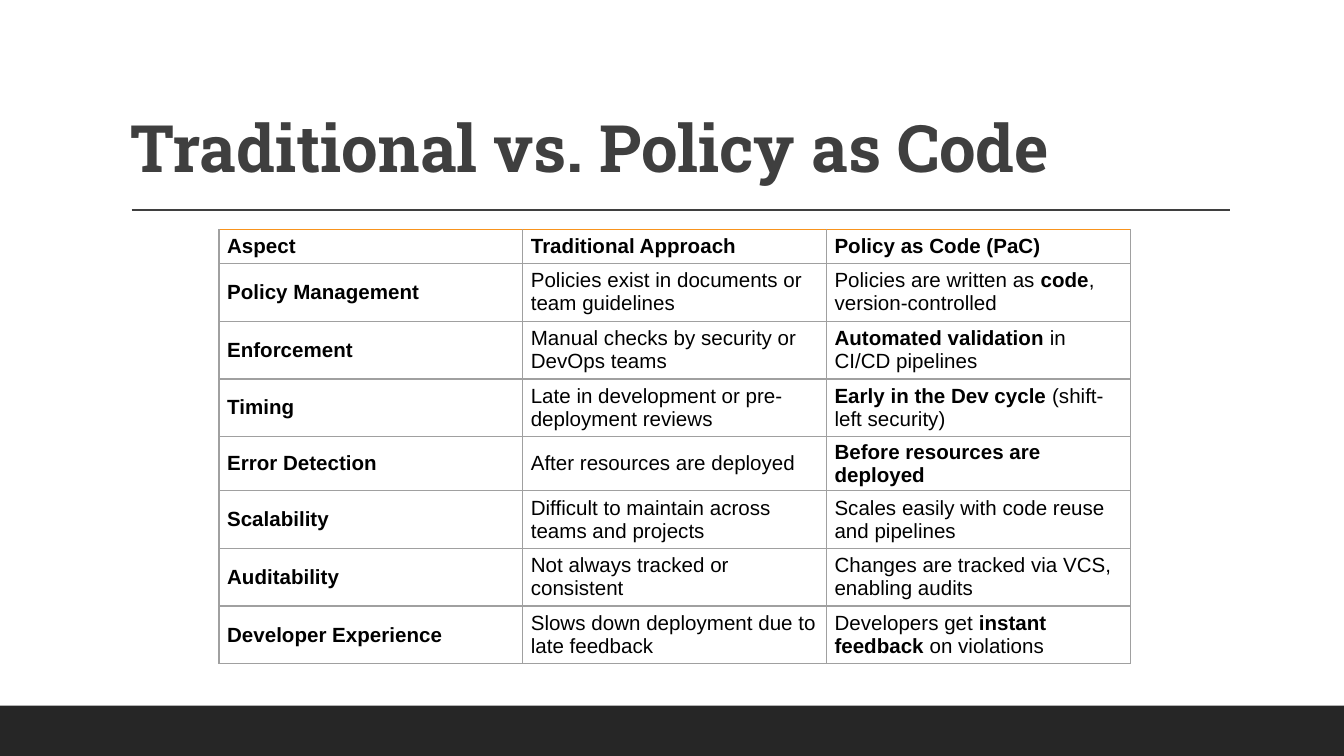
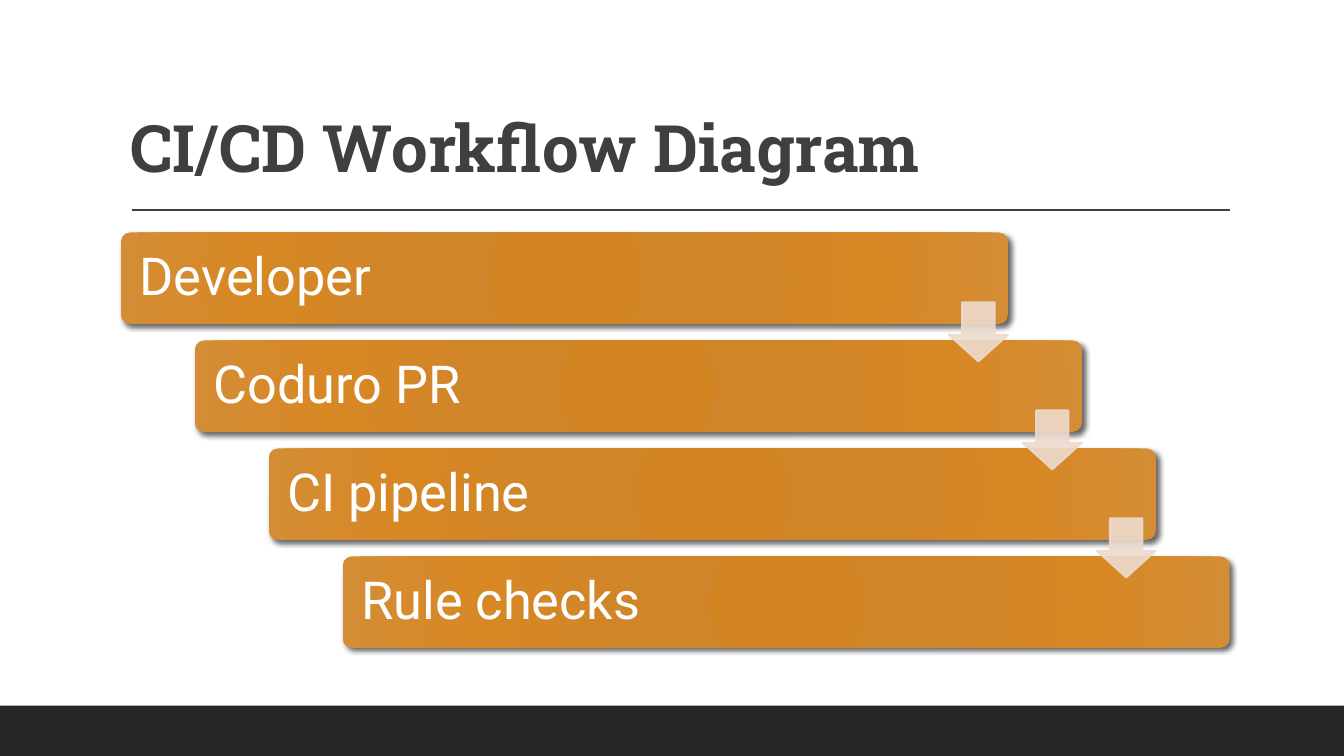
import pptx
import pptx.util
import pptx.dml.color
import pptx.enum.shapes
import pptx.enum.text
import pptx.oxml
import pptx.oxml.ns
from dataclasses import dataclass

Inches, Pt = pptx.util.Inches, pptx.util.Pt
SHAPE = pptx.enum.shapes.MSO_SHAPE
ANCHOR = pptx.enum.text.MSO_ANCHOR
ALIGN = pptx.enum.text.PP_ALIGN

# Content
COMPARISON_TITLE = "Traditional vs. Policy as Code"
COMPARISON = [  # ** marks bold words
    ("Aspect", "Traditional Approach", "Policy as Code (PaC)"),
    ("Policy Management", "Policies exist in documents or team guidelines",
     "Policies are written as **code**, version-controlled"),
    ("Enforcement", "Manual checks by security or DevOps teams",
     "**Automated validation** in CI/CD pipelines"),
    ("Timing", "Late in development or pre-deployment reviews",
     "**Early in the Dev cycle** (shift-left security)"),
    ("Error Detection", "After resources are deployed",
     "**Before resources are deployed**"),
    ("Scalability", "Difficult to maintain across teams and projects",
     "Scales easily with code reuse and pipelines"),
    ("Auditability", "Not always tracked or consistent",
     "Changes are tracked via VCS, enabling audits"),
    ("Developer Experience", "Slows down deployment due to late feedback",
     "Developers get **instant feedback** on violations"),
]
WORKFLOW_TITLE = "CI/CD Workflow Diagram"
WORKFLOW = ["Developer", "Coduro PR", "CI pipeline", "Rule checks"]


@dataclass(frozen=True)
class Theme:
    ink: str = "3F3F3F"
    band: str = "262626"
    black: str = "000000"
    white: str = "FFFFFF"
    accent: str = "F8931D"
    grid: str = "A0A0A0"
    arrow: str = "EDDACD"
    step_stops: tuple = ((0, "D28423"), (34, "D08528"), (70, "D78825"), (100, "D48D35"))
    title_font: str = "Roboto Slab"
    step_font: str = "Roboto"
    table_font: str = "Arial"
    title_size: int = 35
    step_size: int = 28
    table_size: int = 11


THEME = Theme()
WIDTH, HEIGHT = 10, 5.625
LEFT, RIGHT = 0.9, 9.15


def rgb(code):
    return pptx.dml.color.RGBColor.from_string(code)


def xml(markup):
    """Parse an element written with the a: prefix."""
    head, tail = markup.split(">", 1)
    slash = "/" if head.endswith("/") else ""
    return pptx.oxml.parse_xml(
        f"{head.rstrip('/')} {pptx.oxml.ns.nsdecls('a')}{slash}>{tail}")


def style(p, font, size, color, bold=False):
    p.font.name, p.font.size, p.font.bold = font, Pt(size), bold
    p.font.color.rgb = rgb(color)


def set_margins(target, horizontal, vertical):
    target.margin_left = target.margin_right = Inches(horizontal)
    target.margin_top = target.margin_bottom = Inches(vertical)


def add_shape(slide, kind, left, top, width, height):
    sp = slide.shapes.add_shape(kind, *map(Inches, (left, top, width, height)))
    sp.shadow.inherit = False
    sp.line.fill.background()
    return sp


# Shared frame: bottom band, rule and title
def add_slide(prs, title):
    slide = prs.slides.add_slide(prs.slide_layouts.get_by_name("Title Only"))
    band = add_shape(slide, SHAPE.RECTANGLE, 0, 5.25, WIDTH, HEIGHT - 5.25)
    band.fill.solid()
    band.fill.fore_color.rgb = rgb(THEME.band)

    rule = slide.shapes.add_connector(
        pptx.enum.shapes.MSO_CONNECTOR.STRAIGHT,
        Inches(0.98), Inches(1.56), Inches(RIGHT), Inches(1.56))
    rule.line.color.rgb = rgb(THEME.ink)
    rule.line.width = Pt(1)
    rule._element.spPr.append(xml("<a:effectLst/>"))

    sp = slide.shapes.title
    sp.left, sp.top, sp.width, sp.height = map(
        Inches, (LEFT, 0.24, RIGHT - LEFT, 1.19))
    tf = sp.text_frame
    tf.text = title
    tf.word_wrap = True
    tf.auto_size = pptx.enum.text.MSO_AUTO_SIZE.NONE
    tf.vertical_anchor = ANCHOR.BOTTOM
    set_margins(tf, 0.07, 0.04)
    p = tf.paragraphs[0]
    p.alignment, p.line_spacing = ALIGN.LEFT, 0.9
    style(p, THEME.title_font, THEME.title_size, THEME.ink, True)
    return slide


# Comparison table
def fill_cell(cell, text, is_header, is_label):
    cell.vertical_anchor = ANCHOR.MIDDLE
    set_margins(cell, 0.06, 0.03)
    p = cell.text_frame.paragraphs[0]
    style(p, THEME.table_font, THEME.table_size, THEME.black, is_header or is_label)
    for i, part in enumerate(text.split("**")):
        if part:
            r = p.add_run()
            r.text = part
            if i % 2:
                r.font.bold = True
    tc_pr = cell._tc.get_or_add_tcPr()
    for side in "LRTB":
        color = THEME.accent if is_header and side == "T" else THEME.grid
        tc_pr.append(xml(f'<a:ln{side} w="{Pt(0.75)}"><a:solidFill>'
                         f'<a:srgbClr val="{color}"/></a:solidFill></a:ln{side}>'))
    cell.fill.background()


def build_comparison(prs):
    slide = add_slide(prs, COMPARISON_TITLE)
    heights = [0.25] + [0.43] * 3 + [0.4] + [0.43] * 3
    columns = len(COMPARISON[0])
    table = slide.shapes.add_table(
        len(COMPARISON), columns, Inches(1.63), Inches(1.71),
        Inches(2.26 * columns), Inches(sum(heights))).table
    table.first_row = table.horz_banding = False
    for column in table.columns:
        column.width = Inches(2.26)
    for y, (row, height) in enumerate(zip(COMPARISON, heights)):
        table.rows[y].height = Inches(height)
        for x, text in enumerate(row):
            fill_cell(table.cell(y, x), text, y == 0, x == 0)


# Staircase of workflow steps
def add_step(slide, text, left, top, width, height):
    sp = add_shape(slide, SHAPE.ROUNDED_RECTANGLE, left, top, width, height)
    sp.adjustments[0] = 0.1
    sp.fill.background()
    stops = "".join(f'<a:gs pos="{pos * 1000}"><a:srgbClr val="{color}"/></a:gs>'
                    for pos, color in THEME.step_stops)
    sp_pr = sp._element.spPr
    sp_pr.replace(sp_pr.find(pptx.oxml.ns.qn("a:noFill")), xml(
        f'<a:gradFill rotWithShape="1"><a:gsLst>{stops}</a:gsLst><a:path path="circle">'
        '<a:fillToRect l="50000" t="50000" r="50000" b="50000"/></a:path></a:gradFill>'))
    sp_pr.find(pptx.oxml.ns.qn("a:effectLst")).append(xml(
        f'<a:outerShdw blurRad="{Pt(3)}" dist="{Pt(2)}" dir="2700000" rotWithShape="0">'
        f'<a:srgbClr val="{THEME.black}"><a:alpha val="60000"/></a:srgbClr></a:outerShdw>'))
    tf = sp.text_frame
    tf.text = text
    tf.word_wrap = True
    tf.vertical_anchor = ANCHOR.MIDDLE
    set_margins(tf, 0.12, 0.04)
    p = tf.paragraphs[0]
    p.alignment, p.line_spacing = ALIGN.LEFT, 0.9
    style(p, THEME.step_font, THEME.step_size, THEME.white)


def add_down_arrow(slide, left, top, size):
    sp = add_shape(slide, SHAPE.DOWN_ARROW, left, top, size, size)
    sp.adjustments[0], sp.adjustments[1] = 0.55, 0.45
    sp.fill.solid()
    sp.fill.fore_color.rgb = rgb(THEME.arrow)
    sp.line.color.rgb = rgb(THEME.arrow)
    sp.line.width = Pt(1)
    for color in sp._element.spPr.iter(pptx.oxml.ns.qn("a:srgbClr")):
        color.append(xml('<a:alpha val="90000"/>'))


def build_workflow(prs):
    slide = add_slide(prs, WORKFLOW_TITLE)
    width, height, arrow = 6.6, 0.68, 0.44
    top, bottom = 1.73, 4.82
    gaps = len(WORKFLOW) - 1
    dx = (RIGHT - LEFT - width) / gaps
    dy = (bottom - top - height) / gaps
    for i, text in enumerate(WORKFLOW):
        add_step(slide, text, LEFT + i * dx, top + i * dy, width, height)
    for i in range(gaps):
        add_down_arrow(slide, LEFT + i * dx + width - arrow, top + i * dy + 0.52, arrow)


def main():
    prs = pptx.Presentation()
    prs.slide_width, prs.slide_height = Inches(WIDTH), Inches(HEIGHT)
    build_comparison(prs)
    build_workflow(prs)
    prs.save("out.pptx")


if __name__ == "__main__":
    main()
